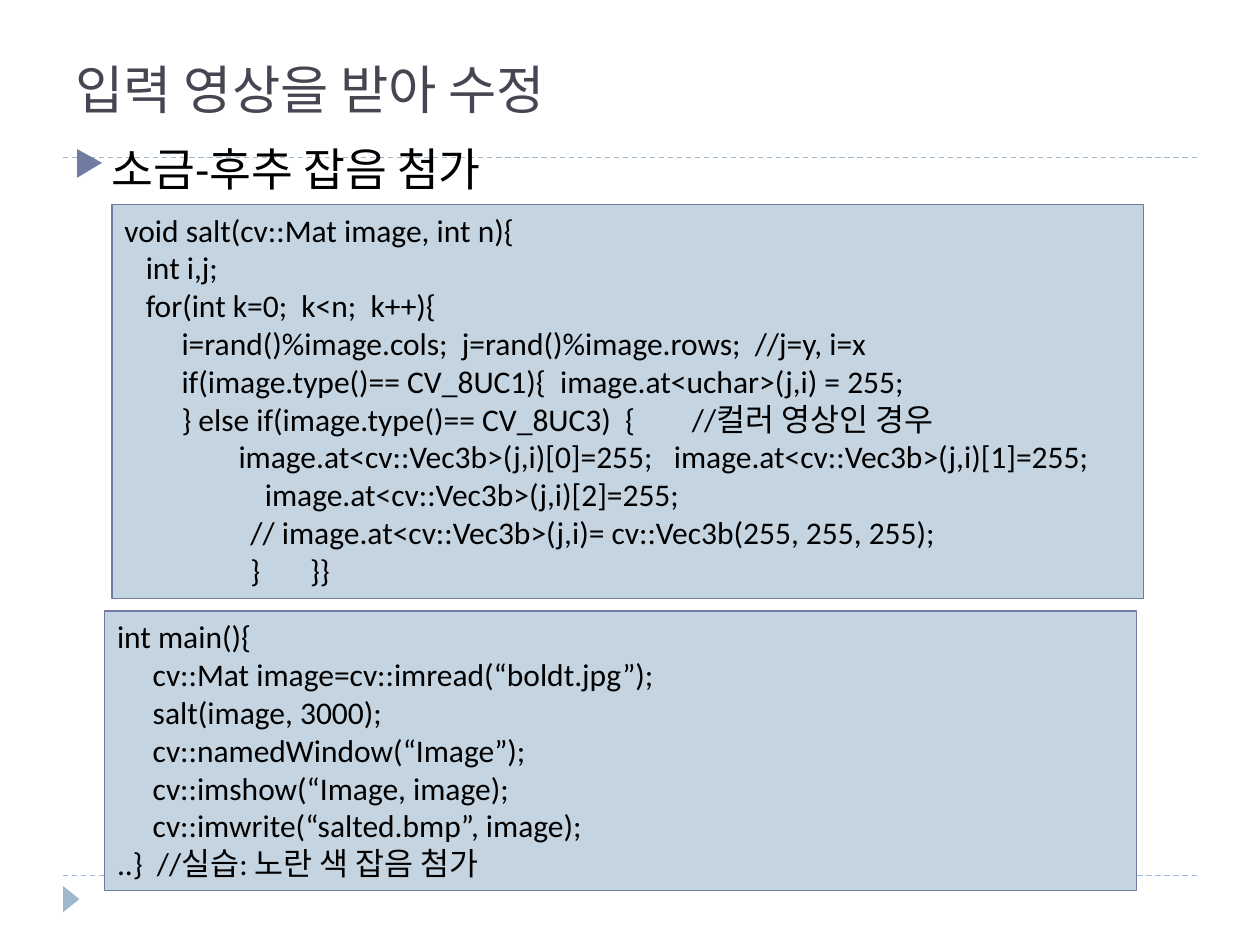
import pptx
import pptx.util
import pptx.dml.color
import pptx.enum.dml
import pptx.enum.shapes
import pptx.enum.text
import pptx.oxml.ns
import lxml.etree

Cm, Pt = pptx.util.Cm, pptx.util.Pt
RGBColor = pptx.dml.color.RGBColor
SHAPE = pptx.enum.shapes.MSO_SHAPE
FIT = pptx.enum.text.MSO_AUTO_SIZE
ANCHOR = pptx.enum.text.MSO_ANCHOR
ALIGN = pptx.enum.text.PP_ALIGN

BLACK = RGBColor(0x00, 0x00, 0x00)
SLATE = RGBColor(0x46, 0x46, 0x53)
INDIGO = RGBColor(0x72, 0x7C, 0xA3)
MIST = RGBColor(0x9F, 0xB8, 0xCD)
PALE = RGBColor(0xC5, 0xD4, 0xE1)

SALT = [
    (0, "void salt(cv::Mat image, int n){"),
    (0.43, "int i,j;"),
    (0.43, "for(int k=0;  k<n;  k++){"),
    (1.15, "i=rand()%image.cols;  j=rand()%image.rows;  //j=y, i=x"),
    (1.15, "if(image.type()== CV_8UC1){  image.at<uchar>(j,i) = 255;"),
    (1.15, "} else if(image.type()== CV_8UC3)  {        //컬러 영상인 경우"),
    (2.3, "image.at<cv::Vec3b>(j,i)[0]=255;   image.at<cv::Vec3b>(j,i)[1]=255;"),
    (2.83, "image.at<cv::Vec3b>(j,i)[2]=255;"),
    (2.54, "// image.at<cv::Vec3b>(j,i)= cv::Vec3b(255, 255, 255);"),
    (2.54, "}       }}"),
]
MAIN = [
    (0, "int main(){"),
    (0.72, "cv::Mat image=cv::imread(“boldt.jpg”);"),
    (0.72, "salt(image, 3000);"),
    (0.72, "cv::namedWindow(“Image”);"),
    (0.72, "cv::imshow(“Image, image);"),
    (0.72, "cv::imwrite(“salted.bmp”, image);"),
    (0, "..}  //실습: 노란 색 잡음 첨가"),
]


def put(item, vals):
    """Set each named value on the item."""
    for name, val in vals.items():
        setattr(item, name, val)


def add(node, tag, **vals):
    """Append a drawing element with attributes."""
    return lxml.etree.SubElement(node, pptx.oxml.ns.qn(tag), vals)


class Deck:
    """Hold the text styles and the current slide."""

    fonts = {
        "title": {"name": "TeX Gyre Bonum", "size": Pt(30), "bold": False},
        "point": {"name": "Calibri", "size": Pt(26)},
        "code": {"name": "Calibri", "size": Pt(18)},
    }

    def __init__(self, show):
        """Start a title-only slide."""
        self.slide = show.slides.add_slide(show.slide_layouts[5])
        self.shapes = self.slide.shapes

    def line(self, para, text, style, color, left=0, hang=0):
        """Fill one styled and indented paragraph."""
        run = para.add_run()
        run.text = text
        put(run.font, self.fonts[style])
        run.font.color.rgb = color
        para.alignment = ALIGN.LEFT
        props = para._p.get_or_add_pPr()
        props.set("marL", str(Cm(left)))
        props.set("indent", str(-Cm(hang)))
        return props

    def title(self, text, x, y, w, h):
        """Place and fill the title."""
        head = self.shapes.title
        put(head, {"left": Cm(x), "top": Cm(y), "width": Cm(w), "height": Cm(h)})
        frame = head.text_frame
        put(frame, {"vertical_anchor": ANCHOR.BOTTOM, "auto_size": FIT.NONE})
        self.line(frame.paragraphs[0], text, "title", SLATE)

    def point(self, text, x, y, w, h):
        """Add a bulleted line of text."""
        frame = self.shapes.add_textbox(Cm(x), Cm(y), Cm(w), Cm(h)).text_frame
        frame.word_wrap = True
        para = frame.paragraphs[0]
        para.space_before = Pt(6)
        props = self.line(para, text, "point", BLACK, 0.76, 0.76)
        add(add(props, "a:buClr"), "a:srgbClr", val=str(INDIGO))
        add(props, "a:buSzPct", val="76000")
        add(props, "a:buChar", char="▶")

    def shape(self, kind, x, y, w, h, fill):
        """Add a flat filled shape without an outline."""
        item = self.shapes.add_shape(kind, Cm(x), Cm(y), Cm(w), Cm(h))
        item.shadow.inherit = False
        item.fill.solid()
        item.fill.fore_color.rgb = fill
        item.line.fill.background()
        return item

    def code(self, rows, x, y, w, h):
        """Add a framed box of code lines."""
        box = self.shape(SHAPE.RECTANGLE, x, y, w, h, PALE)
        box.line.color.rgb = INDIGO
        box.line.width = Pt(0.75)
        frame = box.text_frame
        put(frame, {"word_wrap": True, "vertical_anchor": ANCHOR.TOP,
                    "auto_size": FIT.SHAPE_TO_FIT_TEXT})
        for num, (left, text) in enumerate(rows):
            para = frame.add_paragraph() if num else frame.paragraphs[0]
            self.line(para, text, "code", BLACK, left)

    def rule(self, x, y, w):
        """Add a dashed level line."""
        kind = pptx.enum.shapes.MSO_CONNECTOR.STRAIGHT
        item = self.shapes.add_connector(kind, Cm(x), Cm(y), Cm(x + w), Cm(y))
        item.line.color.rgb = MIST
        put(item.line, {"width": Pt(0.75),
                        "dash_style": pptx.enum.dml.MSO_LINE.DASH})
        add(item._element.spPr, "a:effectLst")


def main():
    """Build and save the slide."""
    show = pptx.Presentation()
    put(show, {"slide_width": Cm(25.4), "slide_height": Cm(19.05)})
    deck = Deck(show)
    for y in (17.65, 3.18):
        deck.rule(1.27, y, 22.86)
    mark = deck.shape(SHAPE.ISOSCELES_TRIANGLE, 1.17, 17.96, 0.53, 0.33, MIST)
    mark.rotation = 90
    deck.title("입력 영상을 받아 수정", 1.27, 0.43, 22.86, 2.11)
    deck.point("소금-후추 잡음 첨가", 1.24, 2.72, 22.86, 13.92)
    deck.code(SALT, 2.26, 4.12, 20.8, 7.95)
    deck.code(MAIN, 2.11, 12.32, 20.8, 5.64)
    show.save("out.pptx")


if __name__ == "__main__":
    main()
